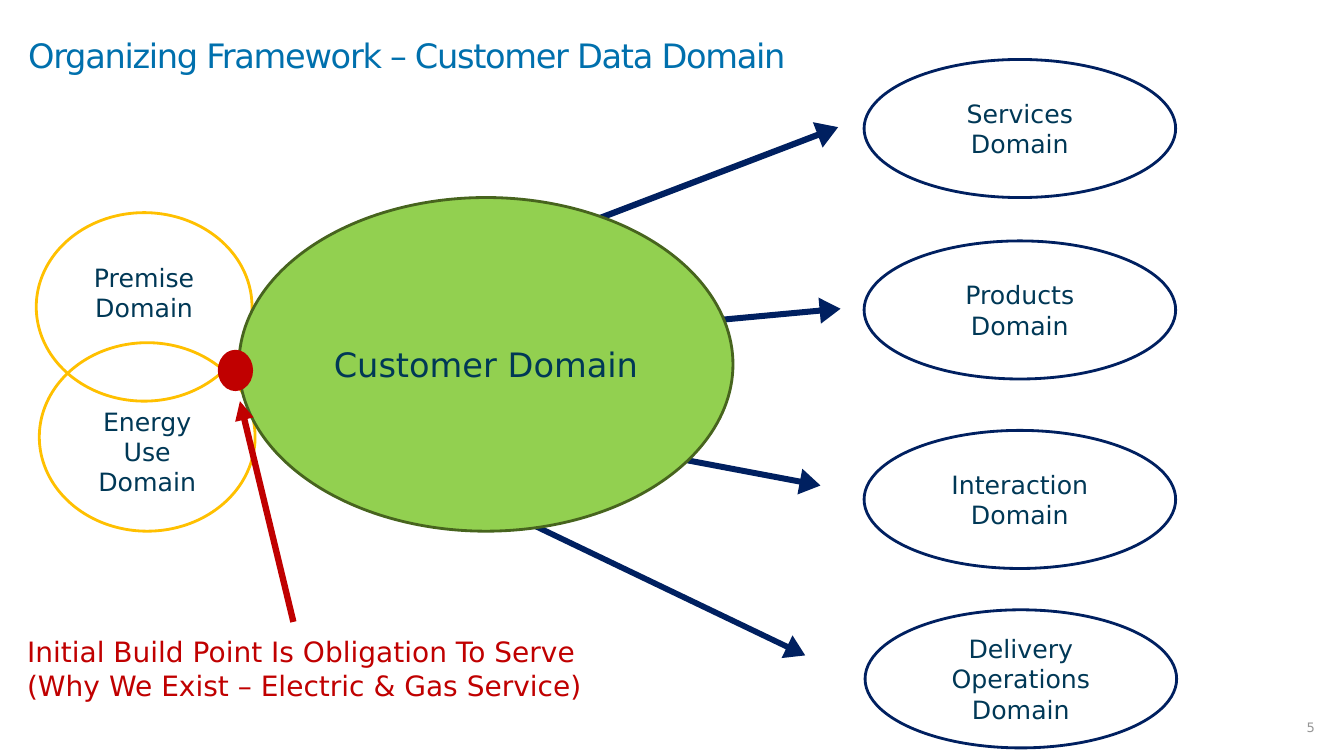
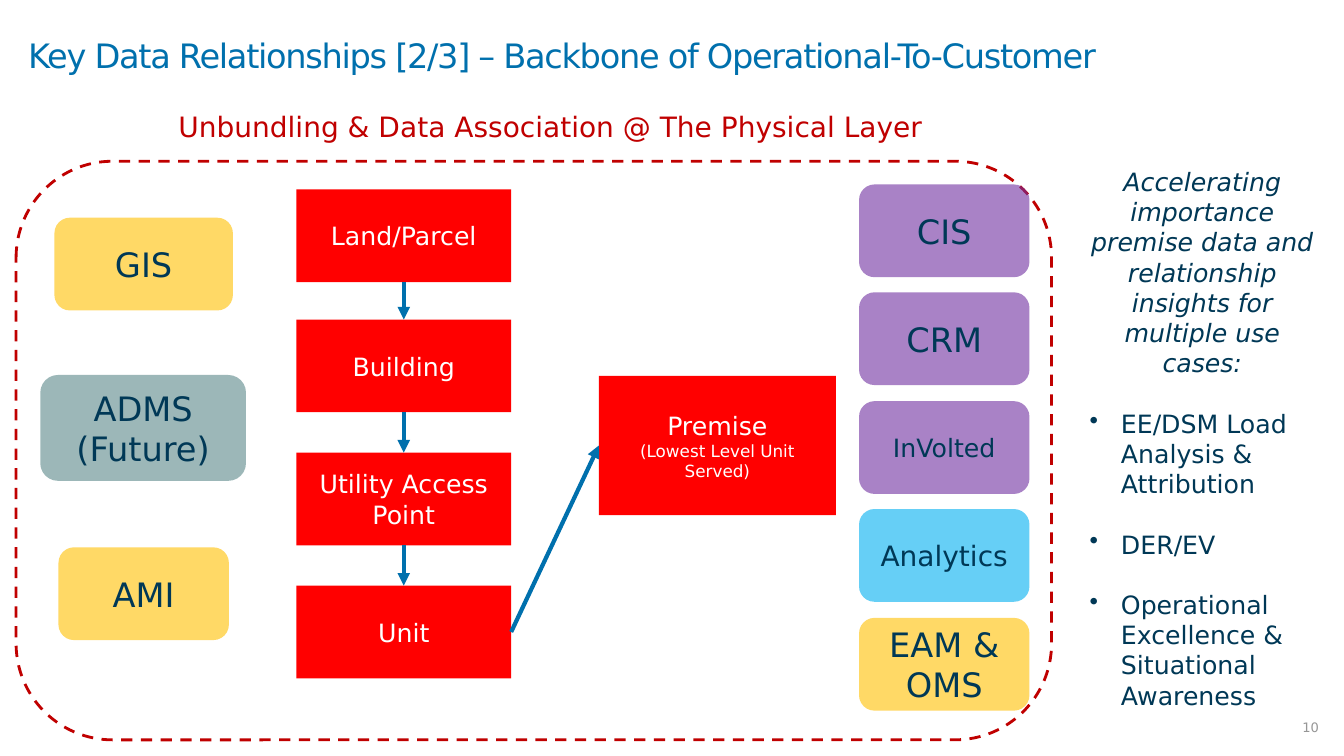
from dataclasses import dataclass

from lxml import etree
from pptx import Presentation
from pptx.dml.color import RGBColor
from pptx.enum import dml, shapes, text
from pptx.oxml import ns
from pptx.shapes.autoshape import Shape
from pptx.shapes.connector import Connector
from pptx.slide import Slide
from pptx.util import Emu, Pt

EMU_PER_PX = 9144
KIND = shapes.MSO_SHAPE
ALIGN = text.PP_ALIGN
ANCHOR = text.MSO_ANCHOR


@dataclass(frozen=True)
class Theme:
    font: str = "DejaVu Sans"
    blue: str = "0070AD"
    ink: str = "003856"
    navy: str = "002060"
    white: str = "FFFFFF"
    grey: str = "969696"
    crimson: str = "C00000"
    red: str = "FF0000"
    gold: str = "FFC000"
    lime: str = "92D050"
    olive: str = "47641E"
    teal: str = "084D4E"
    purple: str = "7030A0"
    sky: str = "00B0F0"
    heading: float = 24
    note: float = 20
    body: float = 18
    small: float = 12
    number: float = 9.3


T = Theme()


@dataclass(frozen=True)
class Box:
    left: int
    top: int
    width: int
    height: int

    def emu(self) -> tuple[Emu, ...]:
        return tuple(px(n) for n in (self.left, self.top, self.width, self.height))


@dataclass(frozen=True)
class Ray:
    box: Box
    angle: float


@dataclass(frozen=True)
class Ring:
    label: str
    box: Box
    color: str
    insets: tuple[int, int, int, int] = (10, 5, 10, 5)


@dataclass(frozen=True)
class System:
    label: str
    box: Box
    color: str
    opacity: int = 60
    size: float = T.heading


def px(n: int) -> Emu:
    return Emu(n * EMU_PER_PX)


def rgb(color: str) -> RGBColor:
    return RGBColor.from_string(color)


def sub(parent, tag: str, **attrs: str):
    return etree.SubElement(parent, ns.qn(tag), **attrs)


def add_text(sp: Shape, words: str, *, size: float = T.body, color: str = T.ink,
             align: ALIGN = ALIGN.CENTER, italic: bool = False, bullet: bool = False,
             before: float = 0, leading: float = 1, tracking: int = 0) -> None:
    tf = sp.text_frame
    for line in words.split("\n"):
        p = tf.add_paragraph() if tf.text else tf.paragraphs[0]
        p.alignment = align
        if leading != 1:
            p.line_spacing = leading
        if before:
            p.space_before = Pt(before)
        if bullet:
            pPr = p._p.get_or_add_pPr()
            pPr.set("marL", str(px(31)))
            pPr.set("indent", str(px(-31)))
            sub(pPr, "a:buChar", char="•")
        r = p.add_run()
        r.text = line
        r.font.name = T.font
        r.font.size = Pt(size)
        r.font.italic = italic
        r.font.color.rgb = rgb(color)
        if tracking:
            r._r.get_or_add_rPr().set("spc", str(tracking))


def set_frame(sp: Shape, *, insets: tuple[int, int, int, int] = (10, 5, 10, 5),
              anchor: ANCHOR = ANCHOR.MIDDLE, wrap: bool = True) -> None:
    tf = sp.text_frame
    tf.word_wrap = wrap
    tf.vertical_anchor = anchor
    tf.margin_left, tf.margin_top, tf.margin_right, tf.margin_bottom = map(px, insets)


def add_textbox(s: Slide, box: Box, **frame) -> Shape:
    sp = s.shapes.add_textbox(*box.emu())
    set_frame(sp, **frame)
    return sp


def add_shape(s: Slide, kind: KIND, box: Box, *, fill: str = "", opacity: int = 100,
              line: str = "", dashed: bool = False, **frame) -> Shape:
    sp = s.shapes.add_shape(kind, *box.emu())
    sp.shadow.inherit = False
    if fill:
        sp.fill.solid()
        sp.fill.fore_color.rgb = rgb(fill)
        if opacity < 100:
            color = sp._element.spPr.find(".//" + ns.qn("a:srgbClr"))
            sub(color, "a:alpha", val=str(opacity * 1000))
    else:
        sp.fill.background()
    if line:
        sp.line.color.rgb = rgb(line)
        sp.line.width = Pt(2)
        if dashed:
            sp.line.dash_style = dml.MSO_LINE.DASH
    else:
        sp.line.fill.background()
    set_frame(sp, **frame)
    return sp


def add_arrow(s: Slide, start: tuple[int, int], end: tuple[int, int],
              color: str, width: float) -> Connector:
    cx = s.shapes.add_connector(shapes.MSO_CONNECTOR.STRAIGHT, *map(px, start + end))
    cx.line.color.rgb = rgb(color)
    cx.line.width = Pt(width)
    sub(cx.line._get_or_add_ln(), "a:tailEnd", type="triangle")
    sub(cx._element.spPr, "a:effectLst")
    return cx


def join(s: Slide, source: Shape, source_side: int, target: Shape, target_side: int) -> None:
    cx = add_arrow(s, (0, 0), (0, 0), T.blue, 3)
    cx.begin_connect(source, source_side)
    cx.end_connect(target, target_side)


def add_slide(prs: Presentation, title: str, number: int) -> Slide:
    s = prs.slides.add_slide(prs.slide_layouts[6])
    sp = add_textbox(s, Box(1267, 705, 66, 35))
    add_text(sp, str(number), size=T.number, color=T.grey, leading=0.85)
    sp = add_textbox(s, Box(0, 0, 1333, 116), insets=(28, 3, 15, 3))
    add_text(sp, title, size=T.heading, color=T.blue, align=ALIGN.LEFT,
             leading=0.85, tracking=-94)
    return s


def add_note(s: Slide, box: Box, words: str) -> None:
    sp = add_textbox(s, box, anchor=ANCHOR.TOP, wrap=False)
    add_text(sp, words, size=T.note, color=T.crimson, align=ALIGN.LEFT)


def build_framework(prs: Presentation) -> None:
    s = add_slide(prs, "Organizing Framework – Customer Data Domain", 5)
    rays = (
        Ray(Box(219, 413, 600, 26), 10.7),
        Ray(Box(210, 504, 619, 25), 25.6),
        Ray(Box(222, 225, 630, 27), 339.1),
        Ray(Box(235, 321, 600, 26), 354.7),
    )
    for ray in rays:
        sp = add_shape(s, KIND.RIGHT_ARROW, ray.box, fill=T.navy)
        sp.adjustments[0], sp.adjustments[1] = 0.23, 0.8
        sp.rotation = ray.angle

    rings = (
        Ring("Premise Domain", Box(36, 211, 214, 187), T.gold, (10, 5, 10, 34)),
        Ring("Energy Use\nDomain", Box(39, 340, 214, 187), T.gold, (10, 34, 10, 5)),
        Ring("Services Domain", Box(857, 59, 309, 137), T.navy),
        Ring("Products Domain", Box(857, 239, 309, 137), T.navy),
        Ring("Interaction Domain", Box(857, 427, 309, 137), T.navy),
        Ring("Delivery Operations Domain", Box(858, 605, 309, 137), T.navy),
    )
    for ring in rings:
        sp = add_shape(s, KIND.OVAL, ring.box, line=ring.color, insets=ring.insets)
        add_text(sp, ring.label)

    customer = add_shape(s, KIND.OVAL, Box(237, 196, 490, 331), fill=T.lime, line=T.olive)
    add_text(customer, "Customer Domain", size=T.heading)
    add_shape(s, KIND.OVAL, Box(216, 347, 35, 41), fill=T.crimson)
    add_note(s, Box(17, 625, 583, 77), "Initial Build Point Is Obligation To Serve\n"
             "(Why We Exist – Electric & Gas Service)")
    add_arrow(s, (291, 617), (238, 398), T.crimson, 4.5)


def build_relationships(prs: Presentation) -> None:
    s = add_slide(prs, "Key Data Relationships [2/3] – Backbone of Operational-To-Customer", 10)
    add_note(s, Box(167, 104, 762, 44), "Unbundling & Data Association @ The Physical Layer")
    add_shape(s, KIND.ROUNDED_RECTANGLE, Box(16, 160, 1027, 574), line=T.crimson, dashed=True)

    chain = []
    levels = (("Land/Parcel", 188), ("Building", 317), ("Utility Access Point", 449), ("Unit", 581))
    for label, top in levels:
        sp = add_shape(s, KIND.RECTANGLE, Box(294, top, 213, 92), fill=T.red)
        add_text(sp, label, color=T.white)
        chain.append(sp)
    premise = add_shape(s, KIND.RECTANGLE, Box(594, 373, 235, 138), fill=T.red)
    add_text(premise, "Premise", color=T.white)
    add_text(premise, "(Lowest Level Unit Served)", size=T.small, color=T.white)
    for upper, lower in zip(chain, chain[1:]):
        join(s, upper, 2, lower, 0)
    join(s, chain[-1], 3, premise, 1)

    stack = [Box(852, 183 + 215 * i // 2, 169, 92) for i in range(5)]
    systems = (
        System("GIS", Box(54, 216, 177, 92), T.gold),
        System("ADMS (Future)", Box(40, 372, 204, 105), T.teal, opacity=40),
        System("AMI", Box(58, 543, 169, 92), T.gold),
        System("CIS", stack[0], T.purple),
        System("CRM", stack[1], T.purple),
        System("InVolted", stack[2], T.purple, size=T.body),
        System("Analytics", stack[3], T.sky, size=T.note),
        System("EAM & OMS", stack[4], T.gold),
    )
    for system in systems:
        sp = add_shape(s, KIND.ROUNDED_RECTANGLE, system.box,
                       fill=system.color, opacity=system.opacity)
        add_text(sp, system.label, size=system.size)

    sp = add_textbox(s, Box(1071, 160, 243, 555), anchor=ANCHOR.TOP)
    add_text(sp, "Accelerating importance premise data and relationship insights "
             "for multiple use cases:", italic=True)
    add_text(sp, "EE/DSM Load Analysis & Attribution\nDER/EV\n"
             "Operational Excellence & Situational Awareness",
             align=ALIGN.LEFT, bullet=True, before=21.5)


def main() -> None:
    prs = Presentation()
    prs.slide_width, prs.slide_height = px(1333), px(750)
    build_framework(prs)
    build_relationships(prs)
    prs.save("out.pptx")


if __name__ == "__main__":
    main()
